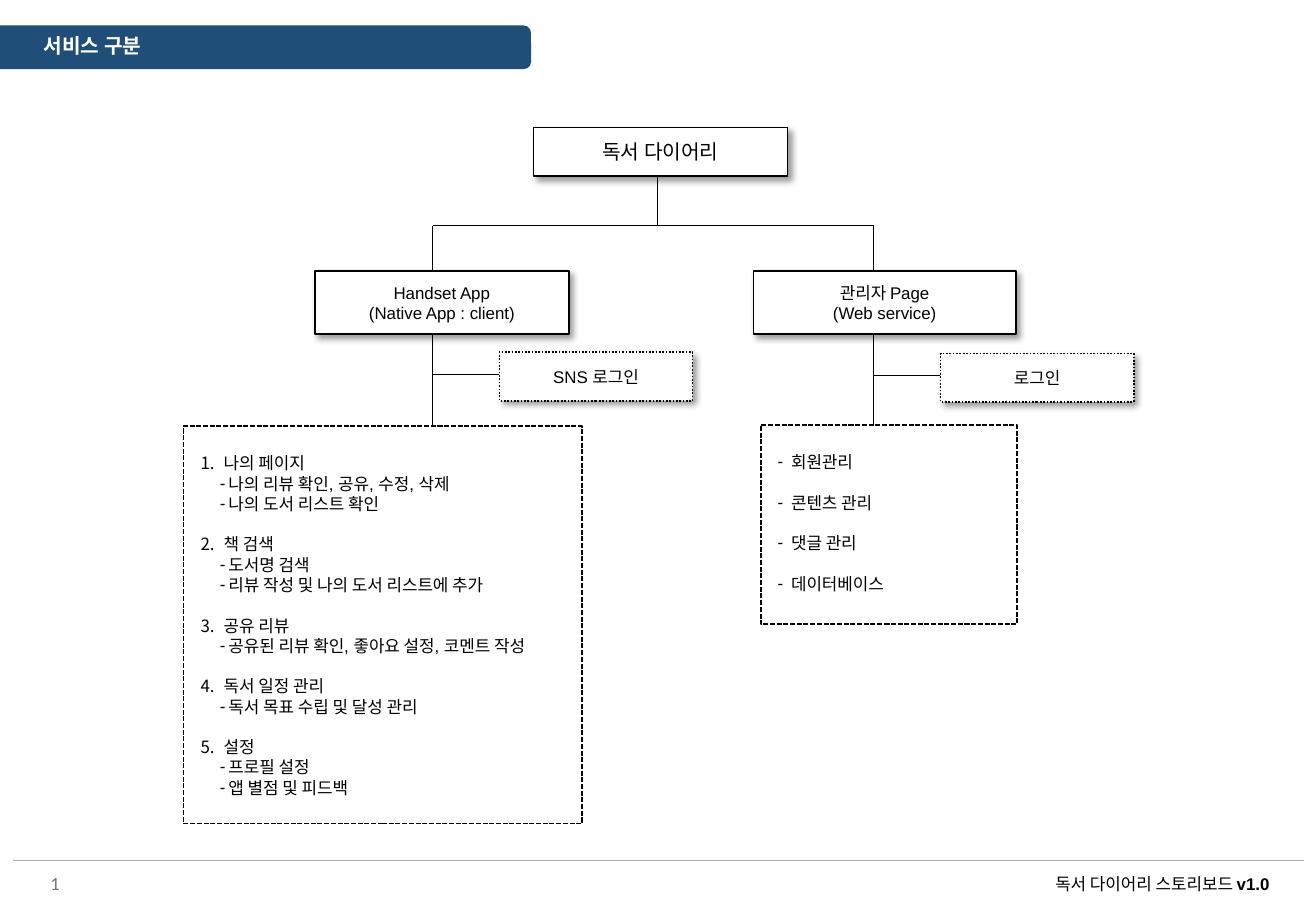
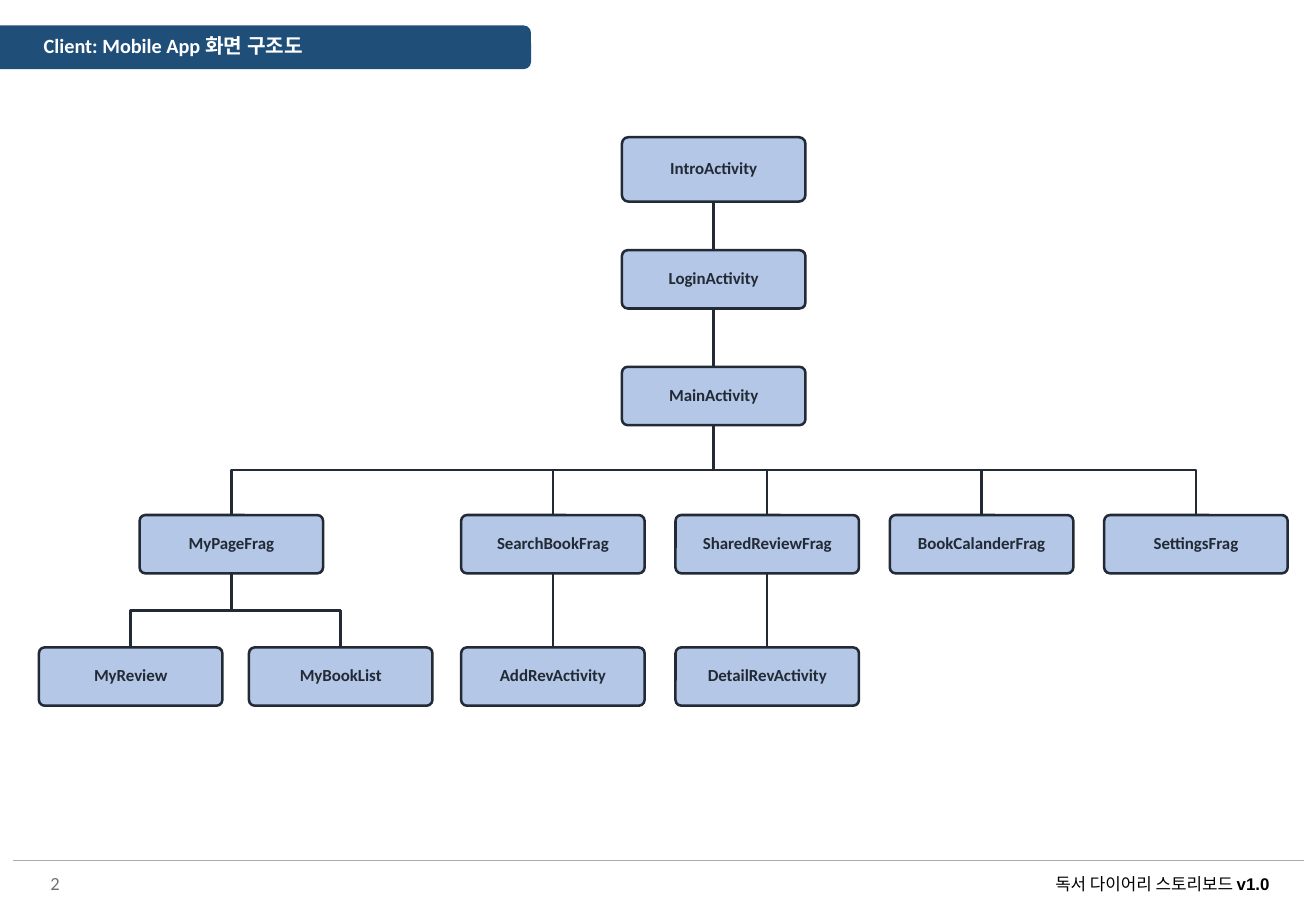
from dataclasses import dataclass
from typing import NamedTuple

from lxml import etree
from pptx import Presentation
from pptx.dml.color import RGBColor
from pptx.enum.dml import MSO_LINE
from pptx.enum.shapes import MSO_CONNECTOR, MSO_SHAPE
from pptx.enum.text import MSO_ANCHOR, MSO_AUTO_SIZE, PP_ALIGN
from pptx.oxml.ns import qn
from pptx.util import Inches, Pt

DOTTED, DASHED = MSO_LINE.ROUND_DOT, MSO_LINE.SQUARE_DOT
STRAIGHT = MSO_CONNECTOR.STRAIGHT
RECTANGLE, ROUNDED = MSO_SHAPE.RECTANGLE, MSO_SHAPE.ROUNDED_RECTANGLE
LEFT, CENTER, RIGHT = PP_ALIGN.LEFT, PP_ALIGN.CENTER, PP_ALIGN.RIGHT
TOP, MIDDLE = MSO_ANCHOR.TOP, MSO_ANCHOR.MIDDLE
FIXED_SIZE = MSO_AUTO_SIZE.NONE
BLACK, WHITE, NAVY = "000000", "FFFFFF", "1F4E79"
INK, PALE_BLUE, GRAY, RULE_GRAY = "222A35", "B4C7E7", "767171", "AFABAB"

# Page grid: 108.3 columns by 75 rows of square cells
CELL = Inches(0.1)
COLUMNS, ROWS = 108.3, 75


class Area(NamedTuple):
    column: float
    row: float
    width: float
    height: float


class Point(NamedTuple):
    column: float
    row: float


@dataclass(frozen=True)
class TextStyle:
    size: float
    color: str = BLACK
    font: str = "Arial"
    bold: bool = False
    align: PP_ALIGN = CENTER


@dataclass(frozen=True)
class ServiceBox:
    area: Area
    lines: tuple
    size: float = 10
    dash: MSO_LINE | None = None


@dataclass(frozen=True)
class ListLevel:
    bullet: str
    value: str
    margin: float
    hanging: float


@dataclass(frozen=True)
class Screen:
    name: str
    column: float
    row: int
    parent: str = ""


LABEL = TextStyle(10)
LIST_ITEM = TextStyle(10, align=LEFT)
TITLE = TextStyle(12, WHITE, "Calibri", True, LEFT)
PAGE_NUMBER = TextStyle(11, GRAY, "Calibri", align=RIGHT)
SCREEN_NAME = TextStyle(10, INK, "Calibri", True)

NUMBERED = ListLevel("buAutoNum", "arabicPeriod", 0.19, 0.19)
SUB_DASH = ListLevel("buChar", "-", 0.23, 0.07)
DASH = ListLevel("buChar", "-", 0.11, 0.11)


# Drawing helpers
def cells(values) -> list:
    return [round(value * CELL) for value in values]


def rgb(value: str) -> RGBColor:
    return RGBColor.from_string(value)


def style_para(para, style: TextStyle) -> None:
    para.alignment = style.align
    for font in (para.font, *(span.font for span in para.runs)):
        font.size, font.name, font.bold = Pt(style.size), style.font, style.bold
        font.color.rgb = rgb(style.color)


def write(frame, lines, style: TextStyle, anchor=MIDDLE) -> None:
    frame.word_wrap = True
    frame.vertical_anchor = anchor
    frame.text = "\n".join(lines)
    for para in frame.paragraphs:
        style_para(para, style)


def outline(shape, color: str, width: float, dash=None) -> None:
    shape.line.color.rgb = rgb(color)
    shape.line.width = Pt(width)
    if dash is not None:
        shape.line.dash_style = dash


def add_box(page, kind, area: Area, fill: str):
    box = page.shapes.add_shape(kind, *cells(area))
    box.shadow.inherit = False
    box.fill.solid()
    box.fill.fore_color.rgb = rgb(fill)
    return box


def add_line(page, start: Point, end: Point, color: str = BLACK, width: float = 0.5):
    line = page.shapes.add_connector(STRAIGHT, *cells(start), *cells(end))
    outline(line, color, width)
    etree.SubElement(line.element.spPr, qn("a:effectLst"))
    return line


def add_shadow(box) -> None:
    effects = box.element.spPr.find(qn("a:effectLst"))
    shadow = etree.SubElement(effects, qn("a:outerShdw"), blurRad=str(Pt(4)),
                              dist=str(Pt(3)), dir="2700000", algn="tl", rotWithShape="0")
    color = etree.SubElement(shadow, qn("a:srgbClr"), val=BLACK)
    etree.SubElement(color, qn("a:alpha"), val="40000")


# Shared parts
def add_shared_parts(deck, page) -> None:
    """Draw the band and footer once and place them on the master."""
    footer = page.shapes.add_textbox(*cells(Area(84.2, 71.4, 22.9, 2.7)))
    write(footer.text_frame, ["독서 다이어리 스토리보드 "], LABEL, TOP)
    para = footer.text_frame.paragraphs[0]
    version = para.add_run()
    version.text = "v1.0"
    style_para(para, LABEL)
    version.font.bold = True
    rule = add_line(page, Point(1.1, 70.8), Point(107.3, 70.8), RULE_GRAY)
    band = add_box(page, ROUNDED, Area(-1.1, 2.1, 44.8, 3.6), NAVY)
    band.line.fill.background()
    master_title = deck.slide_master.placeholders[0].element
    for number, part in enumerate((footer, rule, band), start=20):
        part.element.xpath("./*/p:cNvPr")[0].set("id", str(number))
        master_title.addprevious(part.element)


def fill_frame(page, title: str) -> None:
    """Set the title and the page number."""
    heading = page.shapes.title
    heading.left, heading.top, heading.width, heading.height = cells(Area(2.6, 2.5, 45.4, 3.1))
    write(heading.text_frame, [title], TITLE, TOP)
    heading.text_frame.auto_size = FIXED_SIZE
    heading.text_frame.paragraphs[0].line_spacing = 0.9
    box = page.shapes.add_textbox(*cells(Area(1.4, 71.2, 4.5, 3)))
    write(box.text_frame, ["‹#›"], PAGE_NUMBER)
    field = box.text_frame.paragraphs[0].runs[0]._r
    field.tag = qn("a:fld")
    field.set("id", "{B6F15528-21DE-4FAA-801E-634DDDAF4B2B}")
    field.set("type", "slidenum")


# Service overview
def fill_list(body, area: Area, items) -> None:
    body.left, body.top, body.width, body.height = cells(area)
    body.fill.solid()
    body.fill.fore_color.rgb = rgb(WHITE)
    outline(body, BLACK, 1, DASHED)
    frame = body.text_frame
    write(frame, [text for _, text in items], LIST_ITEM, TOP)
    frame.auto_size = FIXED_SIZE
    frame.margin_left, frame.margin_top = Inches(0.14), Inches(0.22)
    for index, (para, (level, _)) in enumerate(zip(frame.paragraphs, items)):
        para.level = 1 if level is SUB_DASH else 0
        para.line_spacing = 1.0
        para.space_before = Pt(12 if index and level is not SUB_DASH else 0)
        para.space_after = Pt(0)
        props = para._p.get_or_add_pPr()
        props.set("marL", str(Inches(level.margin)))
        props.set("indent", str(-Inches(level.hanging)))
        key = "char" if level.bullet == "buChar" else "type"
        bullet = etree.Element(qn("a:" + level.bullet), {key: level.value})
        props.find(qn("a:defRPr")).addprevious(bullet)


APP_FEATURES = {
    "나의 페이지": ("나의 리뷰 확인, 공유, 수정, 삭제", "나의 도서 리스트 확인"),
    "책 검색": ("도서명 검색", "리뷰 작성 및 나의 도서 리스트에 추가"),
    "공유 리뷰": ("공유된 리뷰 확인, 좋아요 설정, 코멘트 작성",),
    "독서 일정 관리": ("독서 목표 수립 및 달성 관리",),
    "설정": ("프로필 설정", "앱 별점 및 피드백"),
}
ADMIN_FEATURES = ("회원관리", "콘텐츠 관리", "댓글 관리", "데이터베이스")
SERVICE_BOXES = (
    ServiceBox(Area(43.9, 10.5, 20.9, 4), ("독서 다이어리",), 12),
    ServiceBox(Area(62, 22.3, 21.6, 5.2), ("관리자 Page", "(Web service)")),
    ServiceBox(Area(25.9, 22.3, 20.9, 5.2), ("Handset App", "(Native App : client)")),
    ServiceBox(Area(41.1, 29, 15.9, 4), ("SNS 로그인",), dash=DOTTED),
    ServiceBox(Area(77.4, 29.1, 15.9, 4), ("로그인",), dash=DOTTED),
)
APP_AXIS, ADMIN_AXIS, ROOT_AXIS, BRANCH_ROW = 35.6, 71.9, 54.1, 18.6
SERVICE_LINES = (
    (Point(ROOT_AXIS, 14.5), Point(ROOT_AXIS, BRANCH_ROW)),
    (Point(APP_AXIS, BRANCH_ROW), Point(ADMIN_AXIS, BRANCH_ROW)),
    (Point(APP_AXIS, BRANCH_ROW), Point(APP_AXIS, 35.1)),
    (Point(ADMIN_AXIS, BRANCH_ROW), Point(ADMIN_AXIS, 35)),
    (Point(APP_AXIS, 30.8), Point(41.1, 30.8)),
    (Point(ADMIN_AXIS, 30.9), Point(77.4, 30.9)),
)


def draw_services(page) -> None:
    app_list, admin_list = list(page.placeholders)[1:]
    app_items = []
    for feature, details in APP_FEATURES.items():
        app_items.append((NUMBERED, feature))
        app_items.extend((SUB_DASH, detail) for detail in details)
    fill_list(app_list, Area(15.1, 35.1, 32.8, 32.7), app_items)
    fill_list(admin_list, Area(62.6, 35, 21.1, 16.4), [(DASH, text) for text in ADMIN_FEATURES])
    for start, end in SERVICE_LINES:
        add_line(page, start, end)
    for service in SERVICE_BOXES:
        box = add_box(page, RECTANGLE, service.area, WHITE)
        outline(box, BLACK, 1, service.dash)
        add_shadow(box)
        write(box.text_frame, service.lines, TextStyle(service.size))


# Screen tree: columns count from SearchBookFrag, rows from the top
FIRST_AXIS, PITCH, SCREEN_WIDTH = 45.5, 17.64, 15.1
ROW_TOPS = (11.3, 20.6, 30.2, 42.4, 53.3)
ROW_HEIGHTS = (5.3, 4.8, 4.8, 4.8, 4.8)
SCREENS = (
    Screen("IntroActivity", 0.75, 0),
    Screen("LoginActivity", 0.75, 1, "IntroActivity"),
    Screen("MainActivity", 0.75, 2, "LoginActivity"),
    Screen("MyPageFrag", -1.5, 3, "MainActivity"),
    Screen("MyReview", -1.97, 4, "MyPageFrag"),
    Screen("MyBookList", -0.99, 4, "MyPageFrag"),
    Screen("SearchBookFrag", 0, 3, "MainActivity"),
    Screen("AddRevActivity", 0, 4, "SearchBookFrag"),
    Screen("SharedReviewFrag", 1, 3, "MainActivity"),
    Screen("DetailRevActivity", 1, 4, "SharedReviewFrag"),
    Screen("BookCalanderFrag", 2, 3, "MainActivity"),
    Screen("SettingsFrag", 3, 3, "MainActivity"),
)


def axis(screen: Screen) -> float:
    return FIRST_AXIS + screen.column * PITCH


def link_screens(page, parent: Screen, child: Screen) -> None:
    start = Point(axis(parent), ROW_TOPS[parent.row] + ROW_HEIGHTS[parent.row])
    end = Point(axis(child), ROW_TOPS[child.row])
    if parent.column == child.column:
        add_line(page, start, end, INK, 1.5)
        return
    middle = (start.row + end.row) / 2
    bends = (Point(start.column, middle), Point(end.column, middle), end)
    builder = page.shapes.build_freeform(*cells(start))
    builder.add_line_segments([cells(bend) for bend in bends], close=False)
    elbow = builder.convert_to_shape()
    elbow.shadow.inherit = False
    elbow.fill.background()
    outline(elbow, INK, 1.5)


def draw_screens(page) -> None:
    by_name = {screen.name: screen for screen in SCREENS}
    for screen in SCREENS:
        if screen.parent:
            link_screens(page, by_name[screen.parent], screen)
        area = Area(axis(screen) - SCREEN_WIDTH / 2, ROW_TOPS[screen.row],
                    SCREEN_WIDTH, ROW_HEIGHTS[screen.row])
        box = add_box(page, ROUNDED, area, PALE_BLUE)
        box.adjustments[0] = 0.1
        outline(box, INK, 1.5)
        write(box.text_frame, [screen.name], SCREEN_NAME)
        frame = box.text_frame
        frame.margin_left = frame.margin_right = Inches(0.04)
        frame.paragraphs[0].line_spacing = 0.9


deck = Presentation()
deck.slide_width, deck.slide_height = cells((COLUMNS, ROWS))
two_lists, title_only = deck.slide_layouts[3], deck.slide_layouts[5]

services = deck.slides.add_slide(two_lists)
add_shared_parts(deck, services)
fill_frame(services, "서비스 구분")
draw_services(services)

screens = deck.slides.add_slide(title_only)
fill_frame(screens, "Client: Mobile App 화면 구조도")
draw_screens(screens)

deck.save("out.pptx")
